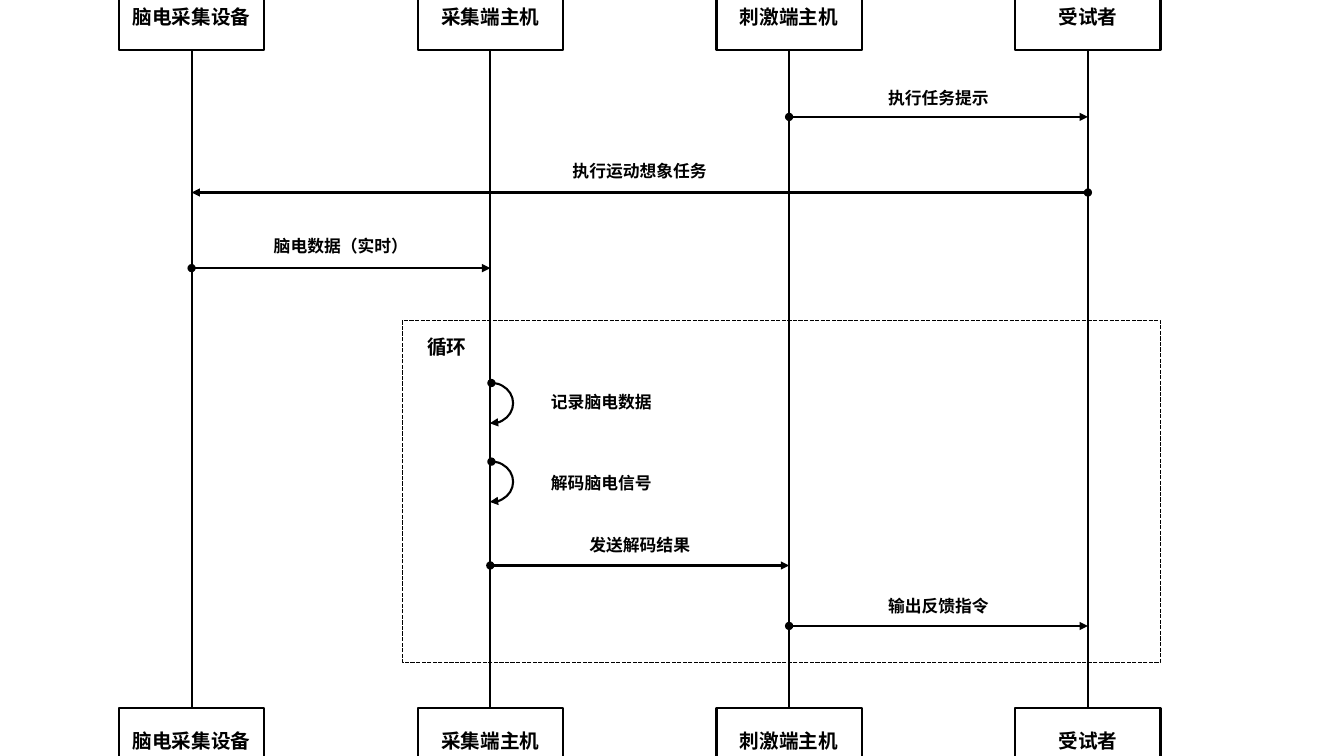
from lxml.etree import SubElement as Sub
from pptx import Presentation
from pptx.dml.color import RGBColor as Rgb
from pptx.enum.dml import MSO_LINE as Dash
from pptx.enum.shapes import MSO_CONNECTOR as Link, MSO_SHAPE as Kind
from pptx.enum.text import MSO_ANCHOR as Anchor, MSO_AUTO_SIZE as Auto, PP_ALIGN as Align
from pptx.oxml.ns import qn
from pptx.util import Inches, Pt

COLORS = {"ink": "000000"}
FONT = "Noto Sans CJK SC"
ACTORS = ["脑电采集设备", "采集端主机", "刺激端主机", "受试者"]
FIRST, STEP = 1.9, 8.89 / 3
BOX_W, BOX_H = 1.44, 0.66
TOP, BOTTOM = -0.16, 7.02
LANES = [FIRST + STEP * i for i in range(len(ACTORS))]
CALLS = [
    ("执行任务提示", 2, 3, 1.16, 0.82, 1.77),
    ("执行运动想象任务", 3, 0, 1.91, 1.55, 6.67),
    ("脑电数据（实时）", 0, 1, 2.66, 2.29, 2.69),
    ("发送解码结果", 1, 2, 5.61, 5.26, 2.45),
    ("输出反馈指令", 2, 3, 6.21, 5.86, 2.7),
]
LOOPS = [("记录脑电数据", 3.8, 3.84), ("解码脑电信号", 4.58, 4.64)]


class Board:
    def __init__(self, slide):
        self.shapes = slide.shapes
        self.ink = Rgb.from_string(COLORS["ink"])

    def stroke(self, item, width=1.5, arrow=False):
        item.line.color.rgb = self.ink
        item.line.width = Pt(width)
        if arrow:
            line = item.line._get_or_add_ln()
            Sub(line, qn("a:headEnd"), type="oval")
            Sub(line, qn("a:tailEnd"), type="triangle")

    def text(self, frame, words, size):
        frame.word_wrap = True
        para = frame.paragraphs[0]
        para.alignment = Align.CENTER
        run = para.add_run()
        run.text = words
        font = run.font
        font.size, font.bold, font.name = Pt(size), True, FONT
        font.color.rgb = self.ink
        Sub(run._r.get_or_add_rPr(), qn("a:ea"), typeface=FONT)

    def shape(self, kind, x, y, w, h, width=1.5, arrow=False):
        item = self.shapes.add_shape(kind, Inches(x), Inches(y), Inches(w), Inches(h))
        item.shadow.inherit = False
        item.fill.background()
        self.stroke(item, width, arrow)
        return item

    def box(self, words, x, y):
        item = self.shape(Kind.RECTANGLE, x - BOX_W / 2, y, BOX_W, BOX_H)
        item.text_frame.vertical_anchor = Anchor.MIDDLE
        self.text(item.text_frame, words, 14)

    def frame(self, x, y, w, h):
        item = self.shape(Kind.RECTANGLE, x, y, w, h, 1)
        item.line.dash_style = Dash.SQUARE_DOT

    def arc(self, x, y):
        item = self.shape(Kind.ARC, x, y, 0.43, 0.4, arrow=True)
        item.adjustments[0] = 162
        item.adjustments[1] = 56.685

    def line(self, x1, y1, x2, y2, arrow=False):
        item = self.shapes.add_connector(
            Link.STRAIGHT, Inches(x1), Inches(y1), Inches(x2), Inches(y2))
        self.stroke(item, arrow=arrow)
        Sub(item._element.spPr, qn("a:effectLst"))

    def label(self, words, x, y, w, h=0.3, size=12):
        item = self.shapes.add_textbox(Inches(x), Inches(y), Inches(w), Inches(h))
        self.text(item.text_frame, words, size)
        item.text_frame.auto_size = Auto.SHAPE_TO_FIT_TEXT


def main():
    deck = Presentation()
    deck.slide_width, deck.slide_height = Inches(13.33), Inches(7.5)
    board = Board(deck.slides.add_slide(deck.slide_layouts[6]))

    for name, x in zip(ACTORS, LANES):
        board.box(name, x, TOP)
        board.box(name, x, BOTTOM)
        board.line(x, TOP + BOX_H, x, BOTTOM)

    board.frame(3.99, 3.18, 7.52, 3.39)
    board.label("循环", 4.07, 3.27, 0.72, 0.34, 14)

    for words, start, end, y, top, width in CALLS:
        x1, x2 = LANES[start], LANES[end]
        board.line(x1, y, x2, y, True)
        board.label(words, (x1 + x2 - width) / 2, top, width)

    for words, y, top in LOOPS:
        board.arc(4.66, y)
        board.label(words, 4.98, top, 1.97)

    deck.save("out.pptx")


if __name__ == "__main__":
    main()
